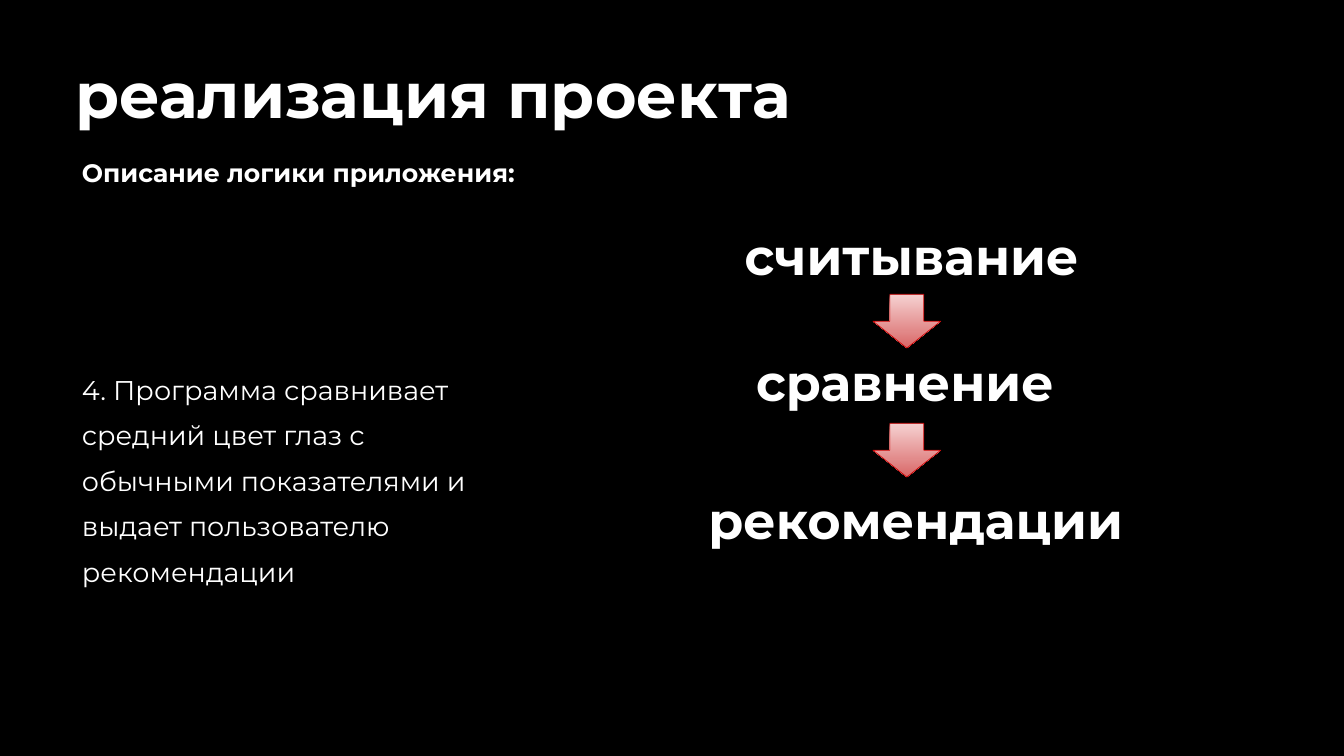
import pptx
import pptx.dml.color
import pptx.enum.shapes
import pptx.enum.text
import pptx.util
from pptx.util import Inches

COLORS = {
    "background": "000000",
    "text": "FFFFFF",
    "arrow_top": "F5D0D0",
    "arrow_bottom": "D96868",
    "arrow_line": "CC0000",
}
FONT = "Montserrat"


def rgb(name):
    return pptx.dml.color.RGBColor.from_string(COLORS[name])


def write(shape, text, *, size, bold=False, spacing=1.1, inset=0):
    frame = shape.text_frame
    frame.word_wrap = True
    frame.auto_size = pptx.enum.text.MSO_AUTO_SIZE.NONE
    frame.vertical_anchor = pptx.enum.text.MSO_ANCHOR.TOP
    frame.margin_left = frame.margin_right = Inches(inset)
    frame.margin_top = frame.margin_bottom = Inches(inset)
    paragraph = frame.paragraphs[0]
    paragraph.alignment = pptx.enum.text.PP_ALIGN.LEFT
    paragraph.line_spacing = spacing
    paragraph.space_before = pptx.util.Pt(0)
    run = paragraph.add_run()
    run.text = text
    run.font.name = FONT
    run.font.size = pptx.util.Pt(size)
    run.font.bold = bold
    run.font.color.rgb = rgb("text")


def place_title(slide, left, top, width, height):
    title = slide.shapes.title
    title.left, title.top = Inches(left), Inches(top)
    title.width, title.height = Inches(width), Inches(height)
    write(title, "реализация проекта", size=68.2, bold=True)


def add_description(slide, left, top, width, height):
    # Heading at the top of the box, explanation in its lower part
    heading_height, text_offset = 0.66, 3.2
    heading = slide.shapes.add_textbox(
        Inches(left), Inches(top), Inches(width), Inches(heading_height))
    write(heading, "Описание логики приложения:",
          size=27, bold=True, spacing=1.4, inset=0.1)
    explanation = slide.shapes.add_textbox(
        Inches(left), Inches(top + text_offset),
        Inches(width), Inches(height - text_offset))
    write(explanation,
          "4. Программа сравнивает средний цвет глаз с обычными "
          "показателями и выдает пользователю рекомендации",
          size=29, spacing=1.4, inset=0.1)


def add_down_arrow(slide, left, top, width, height):
    arrow = slide.shapes.add_shape(
        pptx.enum.shapes.MSO_SHAPE.DOWN_ARROW,
        Inches(left), Inches(top), Inches(width), Inches(height))
    arrow.shadow.inherit = False
    arrow.fill.gradient()
    arrow.fill.gradient_angle = 270
    for stop, color in zip(arrow.fill.gradient_stops,
                           ("arrow_top", "arrow_bottom")):
        stop.color.rgb = rgb(color)
    arrow.line.color.rgb = rgb("arrow_line")
    arrow.line.width = pptx.util.Pt(0.75)


def add_process(slide, left, top, width):
    # Steps: wording, offset from the left, offset from the top
    steps = [
        ("считывание", 0.54, 0),
        ("сравнение", 0.71, 1.88),
        ("рекомендации", 0, 3.93),
    ]
    for wording, indent, offset in steps:
        step = slide.shapes.add_textbox(
            Inches(left + indent), Inches(top + offset),
            Inches(width - indent), Inches(0.91))
        write(step, wording, size=54.2, bold=True)

    # An arrow between each pair of steps
    for index in range(len(steps) - 1):
        add_down_arrow(slide, left + 2.45, top + 1.13 + index * 1.92,
                       1.01, 0.8)


def main():
    presentation = pptx.Presentation()
    presentation.slide_width = Inches(20)
    presentation.slide_height = Inches(11.25)
    slide = presentation.slides.add_slide(presentation.slide_layouts[5])
    slide.background.fill.solid()
    slide.background.fill.fore_color.rgb = rgb("background")

    place_title(slide, 1.12, 0.7, 17.52, 1.26)
    add_description(slide, 1.12, 2.06, 6.69, 6.62)
    add_process(slide, 10.54, 3.25, 8.1)
    presentation.save("out.pptx")


if __name__ == "__main__":
    main()
